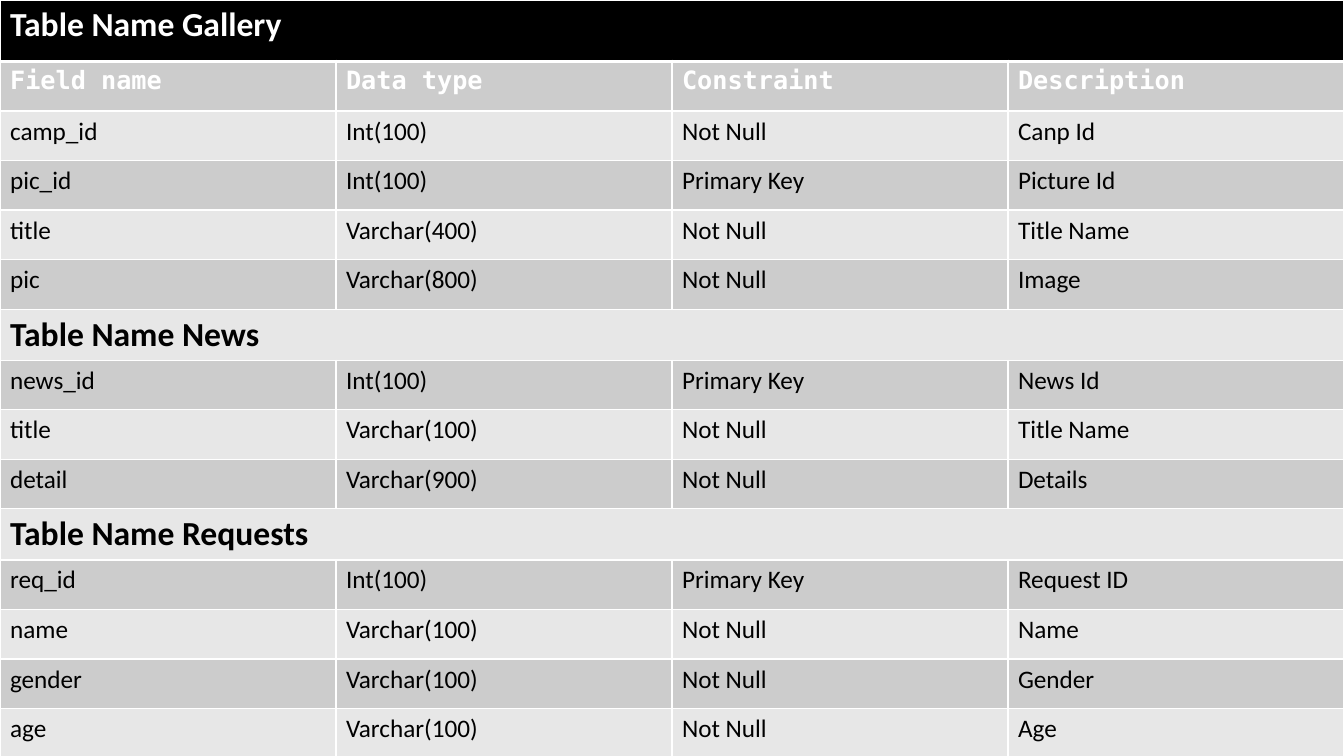
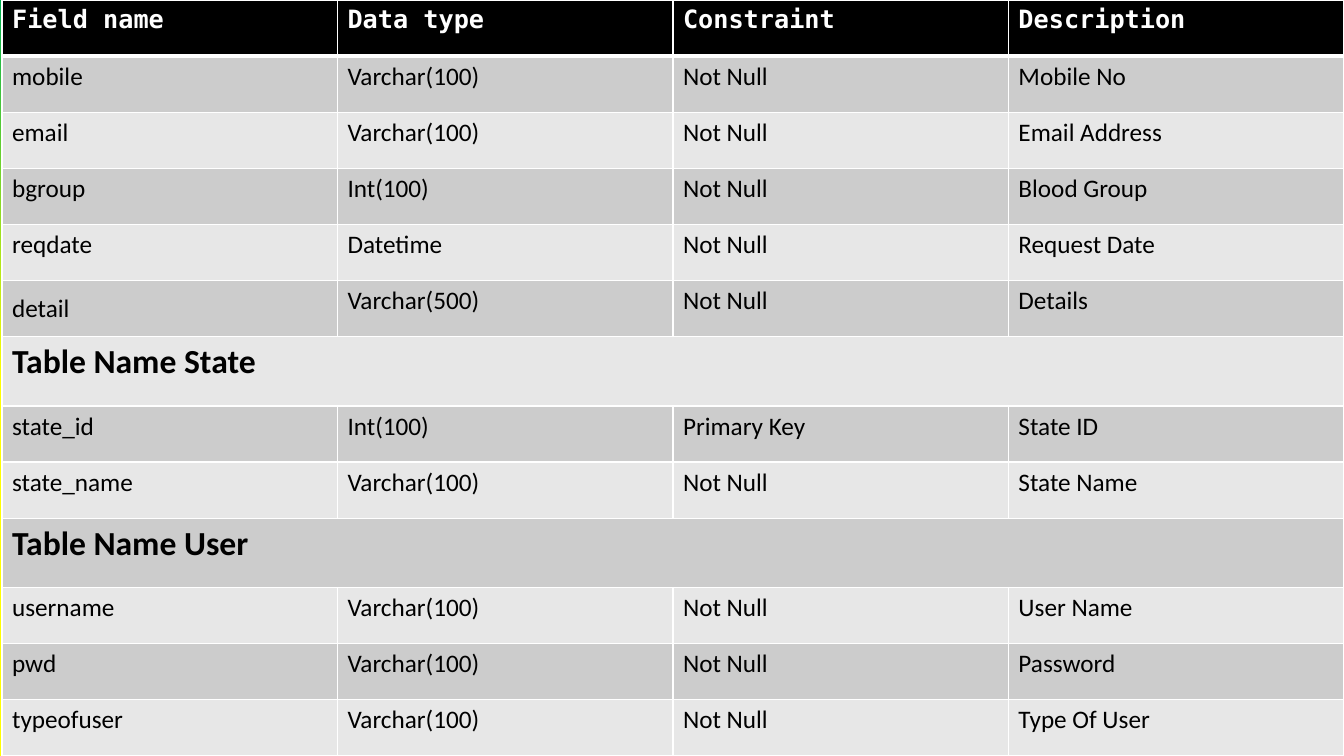
"""Build two slides of database table definitions."""
import dataclasses

import lxml.etree
import pptx
import pptx.dml.color
import pptx.enum.text
import pptx.oxml.ns
import pptx.util

BLACK, WHITE, DARK, LIGHT = "000000", "FFFFFF", "CCCCCC", "E7E7E7"
GREEN, YELLOW = "00B050", "FFFF00"
FIELD_HEADS = ("Field name", "Data type", "Constraint", "Description")
COLUMNS = len(FIELD_HEADS)
THIN, THICK = 1, 3


@dataclasses.dataclass(frozen=True)
class TextStyle:
    """Look of the text in one kind of row."""
    font: str
    size: int
    bold: bool


HEADING = TextStyle("Calibri", 24, True)
FIELD_HEAD = TextStyle("DejaVu Sans Mono", 18, True)
BODY = TextStyle("Calibri", 18, False)


@dataclasses.dataclass(frozen=True)
class Schema:
    """Rows and geometry of one slide, with lengths in inches."""
    left: float
    width: float
    height: float
    rows: tuple[tuple[str, ...], ...]
    tall_rows: dict[int, float]
    middle_cells: tuple[tuple[int, int], ...] = ()

    def row_height(self, index: int) -> float:
        """Give a tall row its own height and share the rest equally."""
        rest = self.height - sum(self.tall_rows.values())
        return self.tall_rows.get(index, rest / (len(self.rows) - len(self.tall_rows)))


SCHEMAS = (
    Schema(0, 13.33, 7.49, (
        ("Table Name Gallery",),
        FIELD_HEADS,
        ("camp_id", "Int(100)", "Not Null", "Canp Id"),
        ("pic_id", "Int(100)", "Primary Key", "Picture Id"),
        ("title", "Varchar(400)", "Not Null", "Title Name"),
        ("pic", "Varchar(800)", "Not Null", "Image"),
        ("Table Name News",),
        ("news_id", "Int(100)", "Primary Key", "News Id"),
        ("title", "Varchar(100)", "Not Null", "Title Name"),
        ("detail", "Varchar(900)", "Not Null", "Details"),
        ("Table Name Requests",),
        ("req_id", "Int(100)", "Primary Key", "Request ID"),
        ("name", "Varchar(100)", "Not Null", "Name"),
        ("gender", "Varchar(100)", "Not Null", "Gender"),
        ("age", "Varchar(100)", "Not Null", "Age"),
    ), {0: 0.61}),
    Schema(0.02, 13.31, 7.5, (
        FIELD_HEADS,
        ("mobile", "Varchar(100)", "Not Null", "Mobile No"),
        ("email", "Varchar(100)", "Not Null", "Email Address"),
        ("bgroup", "Int(100)", "Not Null", "Blood Group"),
        ("reqdate", "Datetime", "Not Null", "Request Date"),
        ("detail", "Varchar(500)", "Not Null", "Details"),
        ("Table Name State",),
        ("state_id", "Int(100)", "Primary Key", "State ID"),
        ("state_name", "Varchar(100)", "Not Null", "State Name"),
        ("Table Name User",),
        ("username", "Varchar(100)", "Not Null", "User Name"),
        ("pwd", "Varchar(100)", "Not Null", "Password"),
        ("typeofuser", "Varchar(100)", "Not Null", "Type Of User"),
    ), {6: 0.69, 9: 0.69}, ((5, 0),)),
)


def rgb(color: str) -> pptx.dml.color.RGBColor:
    """Turn a hex string into a colour."""
    return pptx.dml.color.RGBColor.from_string(color)


def set_background(master) -> None:
    """Fade the shared background from green at the top to yellow."""
    fill = master.background.fill
    fill.gradient()
    fill.gradient_angle = 270
    for stop, position, color in zip(fill.gradient_stops, (0, 0.5), (GREEN, YELLOW)):
        stop.position = position
        stop.color.rgb = rgb(color)


def set_borders(cell, top: int, bottom: int) -> None:
    """Draw white borders around a cell, with widths in points."""
    tc_pr = cell._tc.get_or_add_tcPr()
    for tag, width in (("lnL", THIN), ("lnR", THIN), ("lnT", top), ("lnB", bottom)):
        line = lxml.etree.SubElement(
            tc_pr, pptx.oxml.ns.qn(f"a:{tag}"), w=str(pptx.util.Pt(width)))
        fill = lxml.etree.SubElement(line, pptx.oxml.ns.qn("a:solidFill"))
        lxml.etree.SubElement(fill, pptx.oxml.ns.qn("a:srgbClr"), val=WHITE)


def set_text(cell, text: str, style: TextStyle, color: str) -> None:
    """Write formatted text into a cell."""
    cell.text_frame.text = text
    font = cell.text_frame.paragraphs[0].runs[0].font
    font.name, font.size, font.bold = style.font, pptx.util.Pt(style.size), style.bold
    font.color.rgb = rgb(color)


def row_style(row: tuple[str, ...]) -> TextStyle:
    """Choose the text style that suits a row."""
    if len(row) == 1:
        return HEADING
    return FIELD_HEAD if row == FIELD_HEADS else BODY


def add_schema(s, schema: Schema) -> None:
    """Add one table of field definitions to a slide."""
    table = s.shapes.add_table(
        len(schema.rows), COLUMNS, pptx.util.Inches(schema.left), 0,
        pptx.util.Inches(schema.width), pptx.util.Inches(schema.height)).table
    table.first_row = table.horz_banding = False
    for i, row in enumerate(schema.rows):
        table.rows[i].height = pptx.util.Inches(schema.row_height(i))
        style = row_style(row)
        fill = BLACK if i == 0 else DARK if i % 2 else LIGHT
        color = WHITE if i == 0 or style is FIELD_HEAD else BLACK
        for j in range(COLUMNS):
            cell = table.cell(i, j)
            set_borders(cell, THICK if i == 1 else THIN, THICK if i == 0 else THIN)
            cell.fill.solid()
            cell.fill.fore_color.rgb = rgb(fill)
            if j < len(row):
                set_text(cell, row[j], style, color)
        if style is HEADING:
            table.cell(i, 0).merge(table.cell(i, COLUMNS - 1))
    for i, j in schema.middle_cells:
        table.cell(i, j).vertical_anchor = pptx.enum.text.MSO_ANCHOR.MIDDLE


def main() -> None:
    """Create and save the presentation."""
    prs = pptx.Presentation()
    prs.slide_width = pptx.util.Inches(13.33)
    prs.slide_height = pptx.util.Inches(7.5)
    set_background(prs.slide_master)
    for schema in SCHEMAS:
        add_schema(prs.slides.add_slide(prs.slide_layouts[6]), schema)
    prs.save("out.pptx")


if __name__ == "__main__":
    main()
